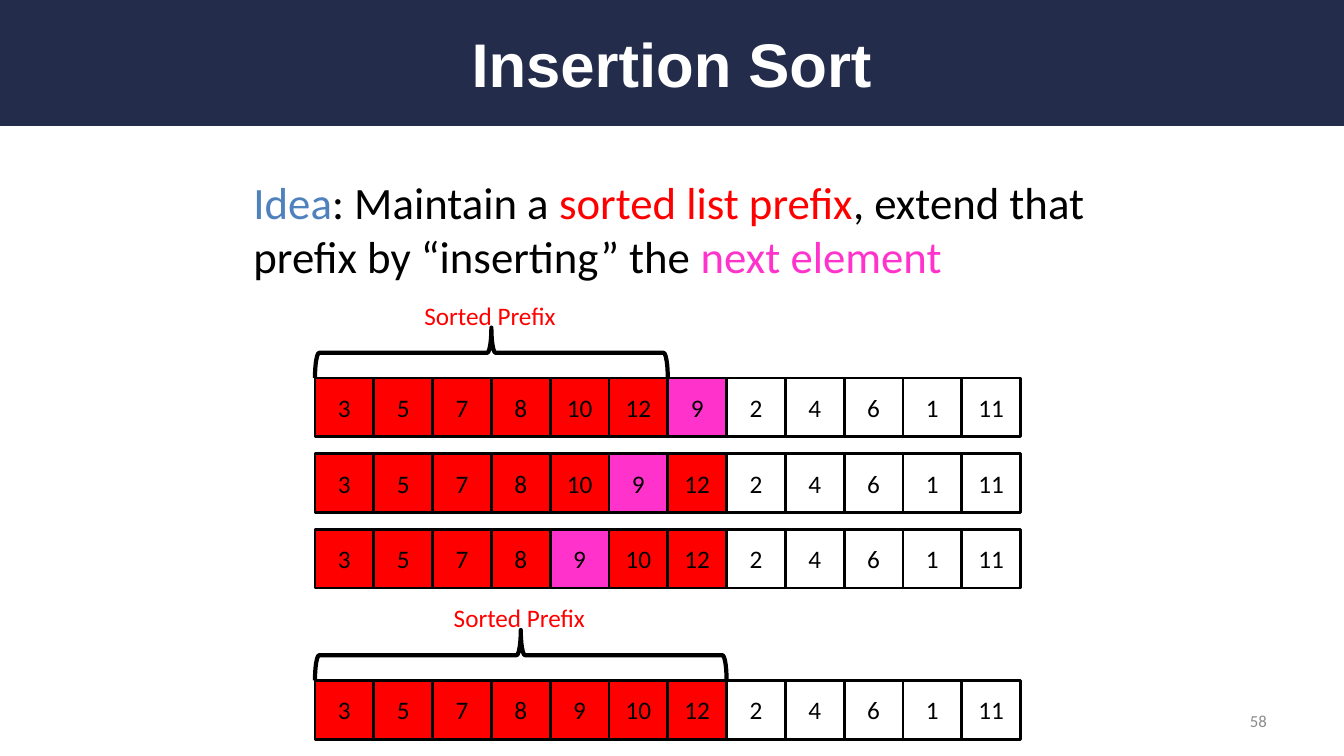
from pptx import Presentation
from pptx.dml.color import RGBColor
from pptx.enum.shapes import MSO_SHAPE as Kind
from pptx.enum.text import MSO_ANCHOR as Anchor, PP_ALIGN as Align
from pptx.util import Pt

NAVY = RGBColor(0x23, 0x2D, 0x4B)
WHITE = RGBColor(0xFF, 0xFF, 0xFF)
BLACK = RGBColor(0, 0, 0)
BLUE = RGBColor(0x4F, 0x81, 0xBD)
RED = RGBColor(0xFF, 0, 0)
PINK = RGBColor(0xFF, 0x33, 0xCC)
GRAY = RGBColor(0x8C, 0x8C, 0x8C)

SIDE = 42
LEFT = 225
PREFIX = 7
ROWS = [
    (270, [3, 5, 7, 8, 10, 12, 9], 6),
    (324, [3, 5, 7, 8, 10, 9, 12], 5),
    (378, [3, 5, 7, 8, 9, 10, 12], 4),
    (486, [3, 5, 7, 8, 9, 10, 12], None),
]
REST = [2, 4, 6, 1, 11]
BRACES = [(270, 6), (486, 7)]


def add_runs(frame, runs, size, font="Calibri", bold=False, align=Align.LEFT):
    para = frame.paragraphs[0]
    para.alignment = align
    for text, color in runs:
        run = para.add_run()
        run.text = text
        run.font.size = Pt(size)
        run.font.name = font
        run.font.bold = bold
        run.font.color.rgb = color
    return para


def add_text(slide, box, runs, size, anchor=Anchor.MIDDLE, wrap=True, **style):
    frame = slide.shapes.add_textbox(*map(Pt, box)).text_frame
    frame.word_wrap = wrap
    frame.vertical_anchor = anchor
    return add_runs(frame, runs, size, **style)


def add_shape(shapes, kind, box, fill=None, line=None):
    shape = shapes.add_shape(kind, *map(Pt, box))
    shape.shadow.inherit = False
    if fill is None:
        shape.fill.background()
    else:
        shape.fill.solid()
        shape.fill.fore_color.rgb = fill
    if line is None:
        shape.line.fill.background()
    else:
        shape.line.color.rgb = BLACK
        shape.line.width = Pt(line)
    return shape


def add_row(slide, top, prefix, next_at):
    group = slide.shapes.add_group_shape()
    for i, value in enumerate(prefix + REST):
        fill = PINK if i == next_at else RED if i < PREFIX else None
        box = (LEFT + i * SIDE, top, SIDE, SIDE)
        cell = add_shape(group.shapes, Kind.RECTANGLE, box, fill, 2)
        frame = cell.text_frame
        frame.vertical_anchor = Anchor.MIDDLE
        add_runs(frame, [(str(value), BLACK)], 18, align=Align.CENTER)


def add_brace(slide, top, count):
    span = count * SIDE
    mid = LEFT + span / 2
    box = (mid - 18, top - 18 - span / 2, 36, span)
    brace = add_shape(slide.shapes, Kind.RIGHT_BRACE, box, line=3)
    brace.rotation = 270
    add_text(slide, (mid - 55, top - 59, 110, 29), [("Sorted Prefix", RED)],
             18, anchor=Anchor.TOP, wrap=False)


def main():
    deck = Presentation()
    deck.slide_width = Pt(960)
    deck.slide_height = Pt(540)
    slide = deck.slides.add_slide(deck.slide_layouts[6])

    add_shape(slide.shapes, Kind.RECTANGLE, (0, 0, 960, 90), NAVY)
    add_text(slide, (48, 12, 864, 66), [("Insertion Sort", WHITE)], 44,
             font="Arial", bold=True, align=Align.CENTER)
    idea = [
        ("Idea", BLUE),
        (": Maintain a ", BLACK),
        ("sorted list prefix", RED),
        (", extend that prefix by “inserting” the ", BLACK),
        ("next element", PINK),
    ]
    para = add_text(slide, (174, 121.5, 648, 84), idea, 32)
    para.space_before = Pt(6.4)
    add_text(slide, (688, 500.5, 224, 28.75), [("58", GRAY)], 12,
             align=Align.RIGHT)

    for row in ROWS:
        add_row(slide, *row)
    for top, count in BRACES:
        add_brace(slide, top, count)

    deck.save("out.pptx")


if __name__ == "__main__":
    main()
